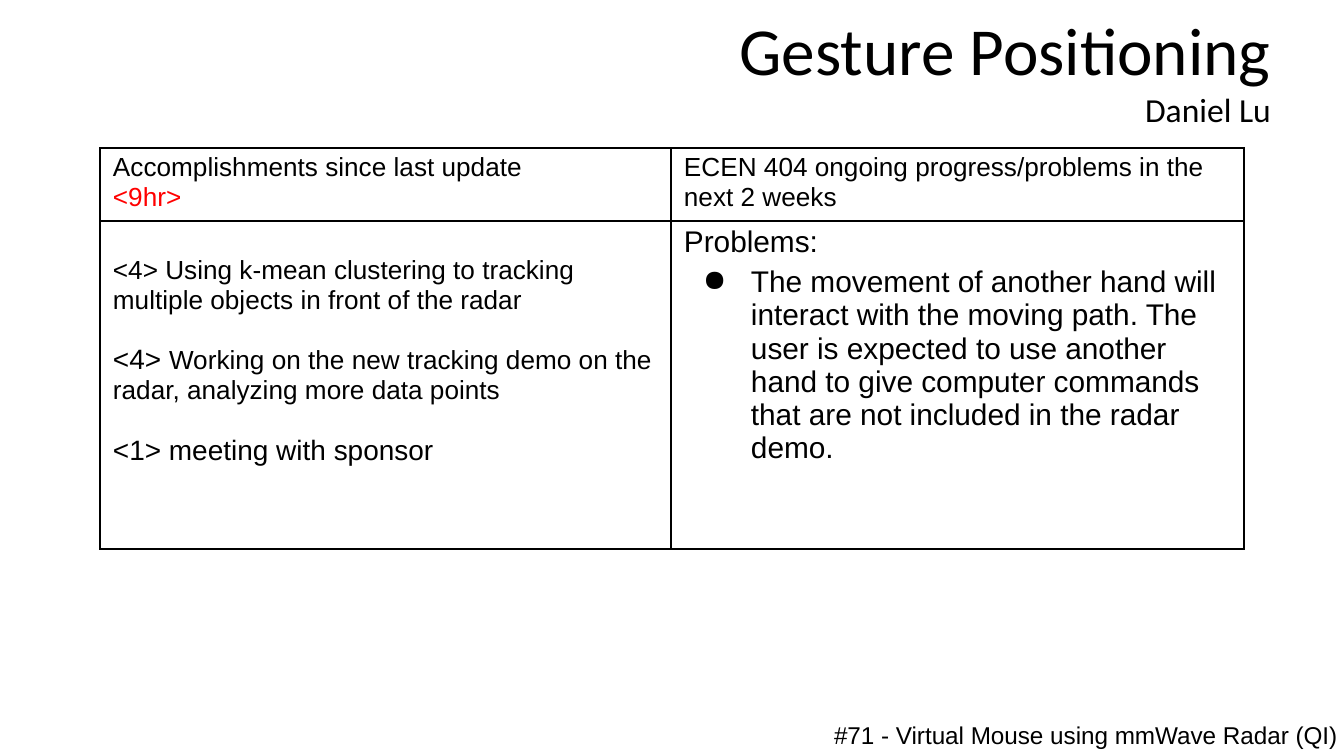
"""Build the Gesture Positioning progress slide."""
from dataclasses import dataclass

from lxml.etree import SubElement
from pptx import Presentation
from pptx.dml.color import RGBColor
from pptx.enum.text import PP_ALIGN
from pptx.oxml.ns import qn
from pptx.util import Emu, Pt

EMU_PER_PX = 914400 / 134.4


@dataclass(frozen=True)
class Theme:
    ink: str = "000000"
    alert: str = "FF0000"
    heading_font: str = "Calibri"
    body_font: str = "Arial"
    title: int = 36
    presenter: int = 18
    problem: int = 16
    label: int = 15
    body: int = 14
    footer: int = 13
    border: int = 1


THEME = Theme()


@dataclass(frozen=True)
class Span:
    text: str
    size: int = THEME.body
    color: str = THEME.ink
    font: str = THEME.body_font


@dataclass(frozen=True)
class Line:
    spans: tuple[Span, ...]
    before: float = 0
    align: PP_ALIGN = PP_ALIGN.LEFT
    right_indent: int = 0
    bullet: str = ""


@dataclass(frozen=True)
class Box:
    left: int
    top: int
    width: int
    height: int
    inset_y: int
    lines: tuple[Line, ...]


@dataclass(frozen=True)
class Entry:
    lines: tuple[Line, ...]
    top_inset: int = 5


def px(length: int) -> Emu:
    """Turn pixels into EMU."""
    return Emu(round(length * EMU_PER_PX))


def add_bullet(properties, mark: str) -> None:
    """Give a paragraph a hanging bullet."""
    properties.set("marL", str(px(67)))
    properties.set("indent", str(px(-48)))
    tint = SubElement(properties, qn("a:buClr"))
    SubElement(tint, qn("a:srgbClr"), val=THEME.ink)
    SubElement(properties, qn("a:buChar"), char=mark)


def write_lines(frame, lines: tuple[Line, ...]) -> None:
    """Fill a text frame with formatted lines."""
    frame.word_wrap = True
    frame.text = "\n".join("" for _ in lines)
    for paragraph, line in zip(frame.paragraphs, lines):
        properties = paragraph._p.get_or_add_pPr()
        if line.bullet:
            add_bullet(properties, line.bullet)
        if line.right_indent:
            properties.set("marR", str(px(line.right_indent)))
        paragraph.alignment = line.align
        paragraph.space_before = Pt(line.before)
        for span in line.spans:
            run = paragraph.add_run()
            run.text = span.text
            run.font.size = Pt(span.size)
            run.font.name = span.font
            run.font.color.rgb = RGBColor.from_string(span.color)


def draw_box(slide, box: Box) -> None:
    """Draw a text box."""
    frame = slide.shapes.add_textbox(
        px(box.left), px(box.top), px(box.width), px(box.height)
    ).text_frame
    frame.margin_left = frame.margin_right = px(13)
    frame.margin_top = frame.margin_bottom = px(box.inset_y)
    write_lines(frame, box.lines)


def draw_entry(cell, entry: Entry) -> None:
    """Write one bordered table cell."""
    cell.margin_left = cell.margin_right = px(13)
    cell.margin_top, cell.margin_bottom = px(entry.top_inset), px(5)
    properties = cell._tc.get_or_add_tcPr()
    for side in ("lnL", "lnR", "lnT", "lnB"):
        edge = SubElement(properties, qn(f"a:{side}"), w=str(Pt(THEME.border)))
        paint = SubElement(edge, qn("a:solidFill"))
        SubElement(paint, qn("a:srgbClr"), val=THEME.ink)
    cell.fill.background()
    write_lines(cell.text_frame, entry.lines)


def draw_progress(slide, left: int, top: int, widths: tuple[int, ...],
                  heights: tuple[int, ...], rows: tuple[tuple[Entry, ...], ...]) -> None:
    """Draw the progress table."""
    progress = slide.shapes.add_table(
        len(heights), len(widths), px(left), px(top), px(sum(widths)), px(sum(heights))
    ).table
    progress.first_row = progress.horz_banding = False
    for column, width in zip(progress.columns, widths):
        column.width = px(width)
    for row, height, entries in zip(progress.rows, heights, rows):
        row.height = px(height)
        for cell, entry in zip(row.cells, entries):
            draw_entry(cell, entry)


HEADING = Box(325, 1, 974, 136, 7, (
    Line((Span("Gesture Positioning", THEME.title, font=THEME.heading_font),),
         align=PP_ALIGN.RIGHT, right_indent=15),
    Line((Span("Daniel Lu", THEME.presenter, font=THEME.heading_font),),
         align=PP_ALIGN.RIGHT),
))
FOOTER = Box(821, 707, 896, 78, 13, (
    Line((Span("#71 - Virtual Mouse using mmWave Radar (QI)", THEME.footer),)),
))
PROGRESS = (
    (
        Entry((Line((Span("Accomplishments since last update"),)),
               Line((Span("<9hr>", color=THEME.alert),)))),
        Entry((Line((Span("ECEN 404 ongoing progress/problems in the next 2 weeks"),)),)),
    ),
    (
        Entry((
            Line((Span("<4> Using k-mean clustering to tracking multiple objects "
                       "in front of the radar"),)),
            Line((Span("<4> ", THEME.label),
                  Span("Working on the new tracking demo on the radar, "
                       "analyzing more data points")), before=16),
            Line((Span("<1> meeting with sponsor", THEME.label),), before=16),
        ), top_inset=35),
        Entry((
            Line((Span("Problems:", THEME.problem),)),
            Line((Span("The movement of another hand will interact with the moving path. "
                       "The user is expected to use another hand to give computer commands "
                       "that are not included in the radar demo.", THEME.problem),),
                 before=3.6, bullet="●"),
        )),
    ),
)


def main() -> None:
    """Build and save the slide."""
    deck = Presentation()
    deck.slide_width, deck.slide_height = px(1344), px(756)
    slide = deck.slides.add_slide(deck.slide_layouts[6])
    draw_box(slide, HEADING)
    draw_progress(slide, 100, 148, (571, 573), (73, 328), PROGRESS)
    draw_box(slide, FOOTER)
    deck.save("out.pptx")


if __name__ == "__main__":
    main()
